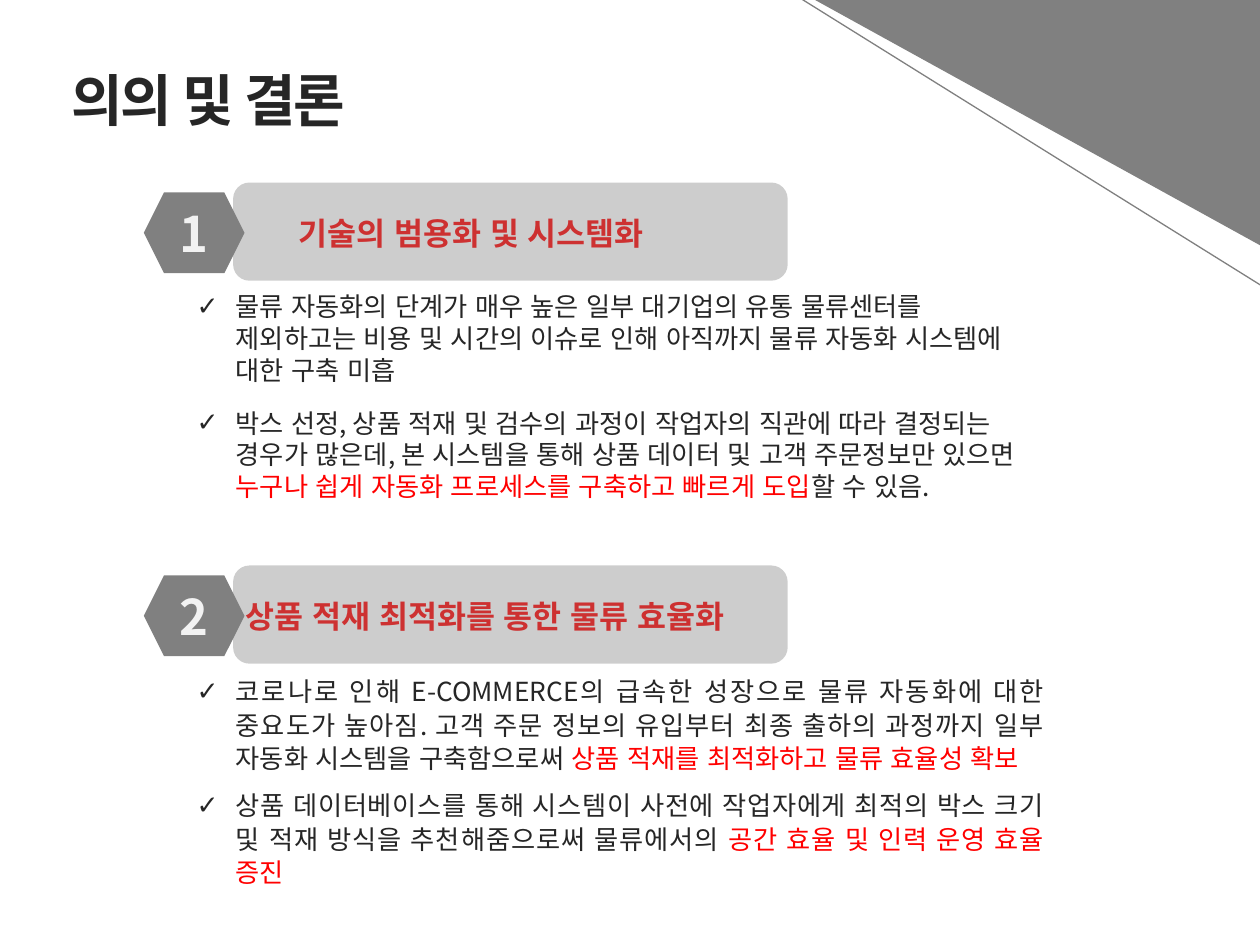
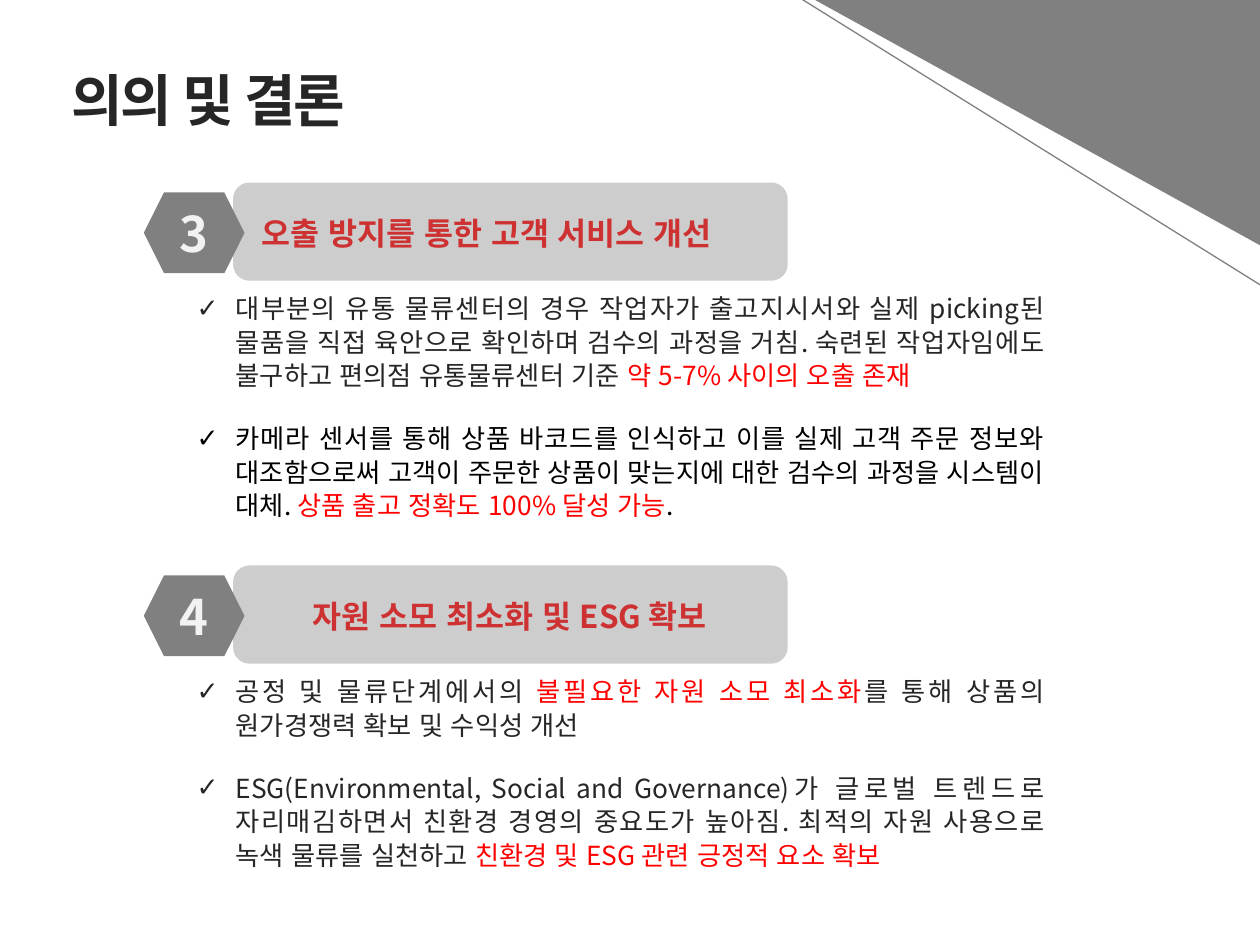
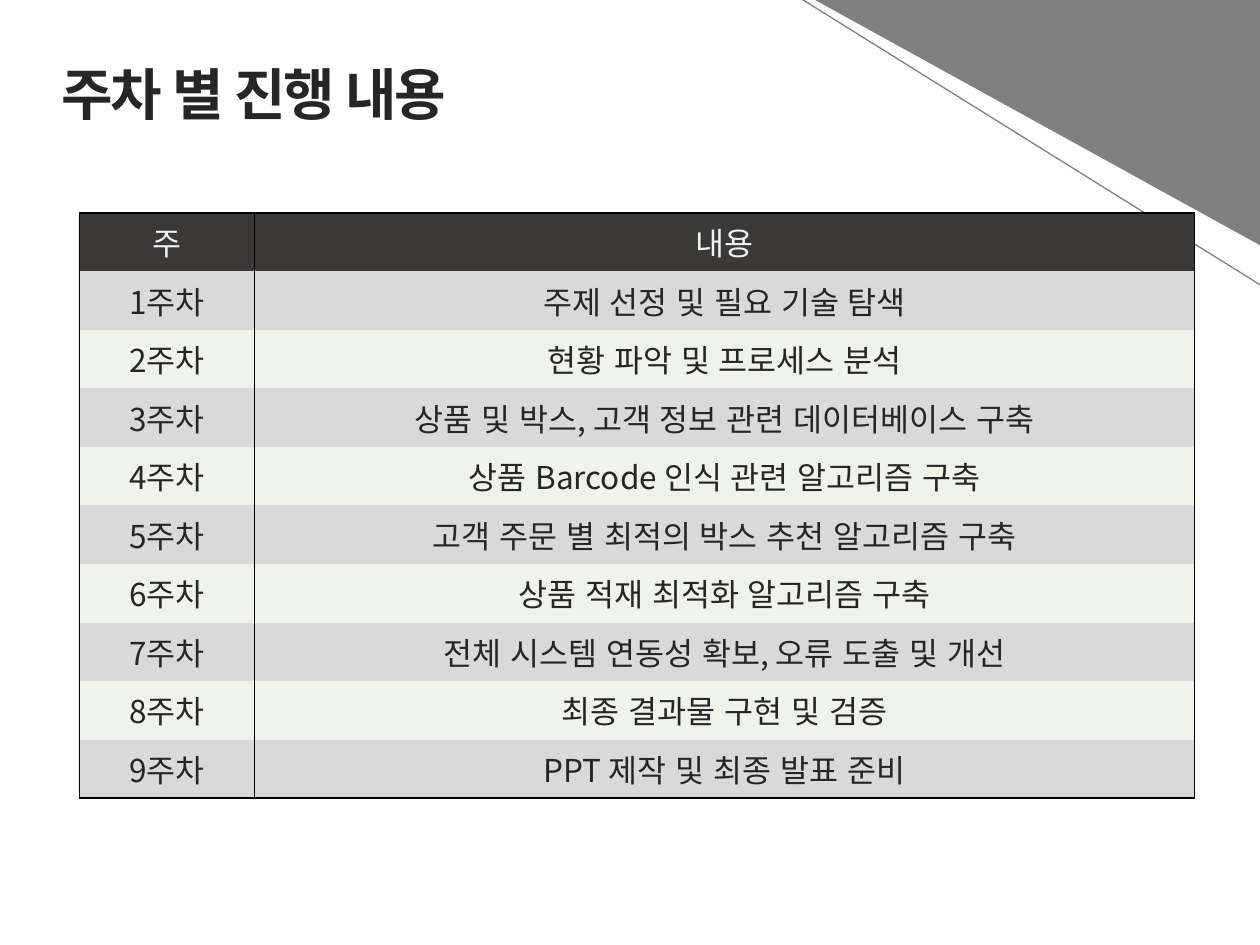
"""Build the conclusion slides and the weekly schedule slide."""
from dataclasses import dataclass

from lxml import etree
from pptx import Presentation
from pptx.dml.color import RGBColor
from pptx.enum.lang import MSO_LANGUAGE_ID
from pptx.enum.shapes import MSO_CONNECTOR, MSO_SHAPE
from pptx.enum.text import MSO_ANCHOR, MSO_AUTO_SIZE, PP_ALIGN
from pptx.oxml.ns import qn
from pptx.util import Cm, Pt

LEFT, CENTER, JUSTIFY = PP_ALIGN.LEFT, PP_ALIGN.CENTER, PP_ALIGN.JUSTIFY
TOP, MIDDLE = MSO_ANCHOR.TOP, MSO_ANCHOR.MIDDLE
GROW = MSO_AUTO_SIZE.SHAPE_TO_FIT_TEXT
STRAIGHT = MSO_CONNECTOR.STRAIGHT
TRIANGLE, HEXAGON = MSO_SHAPE.RIGHT_TRIANGLE, MSO_SHAPE.HEXAGON
ROUNDED = MSO_SHAPE.ROUNDED_RECTANGLE
KOREAN = MSO_LANGUAGE_ID.KOREAN

FONT = "Noto Sans CJK KR"
NO_GRID_STYLE = "{2D5ABB26-0587-4C30-8999-92F81FD0307C}"
COLORS = {
    "ink": "262626",
    "black": "000000",
    "accent": "FF0000",
    "gray": "808080",
    "light": "F2F2F2",
    "header": "3B3838",
    "odd": "D9D9D9",
    "even": "EFF3EA",
}
TITLE_ONLY, TWO_LISTS = 5, 3
FIRST_TOP, SECTION_STEP = 3.68, 7.72


@dataclass(frozen=True)
class Span:
    """A piece of text in one colour."""

    text: str
    color: str = "ink"


@dataclass(frozen=True)
class Section:
    """A numbered heading with its checked list."""

    number: int
    heading: str
    heading_left: float
    heading_width: float
    list_height: float
    gap: float
    items: tuple[tuple[Span, ...], ...]
    heading_align: PP_ALIGN = LEFT
    list_align: PP_ALIGN = JUSTIFY
    line_pitch: float = 19.1


CONCLUSIONS = (
    (
        Section(1, "기술의 범용화 및 시스템화", 5.77, 8.41, 5.18, 12, (
            (Span("물류 자동화의 단계가 매우 높은 일부 대기업의 유통 물류센터를 제외하고는 "
                  "비용 및 시간의 이슈로 인해 아직까지 물류 자동화 시스템에 대한 구축 미흡"),),
            (Span("박스 선정, 상품 적재 및 검수의 과정이 작업자의 직관에 따라 결정되는 경우가 "
                  "많은데, 본 시스템을 통해 상품 데이터 및 고객 주문정보만 있으면 "),
             Span("누구나 쉽게 자동화 프로세스를 구축하고 빠르게 도입", "accent"),
             Span("할 수 있음.")),
        ), list_align=LEFT, line_pitch=18.1),
        Section(2, "상품 적재 최적화를 통한 물류 효율화", 4.7, 11.61, 5.28, 8, (
            (Span("코로나로 인해 E-COMMERCE의 급속한 성장으로 물류 자동화에 대한 중요도가 "
                  "높아짐. 고객 주문 정보의 유입부터 최종 출하의 과정까지 일부 자동화 "
                  "시스템을 구축함으로써 "),
             Span("상품 적재를 최적화하고 물류 효율성 확보", "accent")),
            (Span("상품 데이터베이스를 통해 시스템이 사전에 작업자에게 최적의 박스 크기 및 "
                  "적재 방식을 추천해줌으로써 물류에서의 "),
             Span("공간 효율 및 인력 운영 효율 증진", "accent")),
        )),
    ),
    (
        Section(3, "오출 방지를 통한 고객 서비스 개선", 5.03, 10.59, 5.16, 17, (
            (Span("대부분의 유통 물류센터의 경우 작업자가 출고지시서와 실제 picking된 물품을 "
                  "직접 육안으로 확인하며 검수의 과정을 거침. 숙련된 작업자임에도 불구하고 "
                  "편의점 유통물류센터 기준 "),
             Span("약 5-7% 사이의 오출 존재", "accent")),
            (Span("카메라 센서를 통해 상품 바코드를 인식하고 이를 실제 고객 주문 정보와 "
                  "대조함으로써 고객이 주문한 상품이 맞는지에 대한 검수의 과정을 시스템이 "
                  "대체. ", "black"),
             Span("상품 출고 정확도 100% 달성 가능", "accent"),
             Span(".", "black")),
        )),
        Section(4, "자원 소모 최소화 및 ESG 확보", 5.18, 10.19, 4.27, 17, (
            (Span("공정 및 물류단계에서의 "),
             Span("불필요한 자원 소모 최소화", "accent"),
             Span("를 통해 상품의 원가경쟁력 확보 및 수익성 개선")),
            (Span("ESG(Environmental, Social and Governance)가 글로벌 트렌드로 "
                  "자리매김하면서 친환경 경영의 중요도가 높아짐. 최적의 자원 사용으로 "
                  "녹색 물류를 실천하고 "),
             Span("친환경 및 ESG 관련 긍정적 요소 확보", "accent")),
        ), heading_align=CENTER),
    ),
)
WEEKLY_WORK = (
    "주제 선정 및 필요 기술 탐색",
    "현황 파악 및 프로세스 분석",
    "상품 및 박스, 고객 정보 관련 데이터베이스 구축",
    "상품 Barcode 인식 관련 알고리즘 구축",
    "고객 주문 별 최적의 박스 추천 알고리즘 구축",
    "상품 적재 최적화 알고리즘 구축",
    "전체 시스템 연동성 확보, 오류 도출 및 개선",
    "최종 결과물 구현 및 검증",
    "PPT 제작 및 최종 발표 준비",
)


def rgb(name: str) -> RGBColor:
    """Return the named colour."""
    return RGBColor.from_string(COLORS[name])


def format_run(run, size: float, color: str, bold: bool = False) -> None:
    """Give a run its font, size and colour."""
    font = run.font
    font.name, font.size, font.bold = FONT, Pt(size), bold
    font.color.rgb = rgb(color)
    font.language_id = KOREAN
    etree.SubElement(font._element, qn("a:ea")).set("typeface", FONT)


def write_line(shape, text: str, size: float, color: str, pitch: float,
               align: PP_ALIGN = LEFT, anchor: MSO_ANCHOR = TOP) -> None:
    """Write one bold line into a shape."""
    frame = shape.text_frame
    frame.text = text
    frame.word_wrap = True
    frame.vertical_anchor = anchor
    para = frame.paragraphs[0]
    para.alignment, para.line_spacing = align, Pt(pitch)
    format_run(para.runs[0], size, color, True)


def place(shape, left: float, top: float, width: float, height: float) -> None:
    """Move and size a shape in centimetres."""
    shape.left, shape.top = Cm(left), Cm(top)
    shape.width, shape.height = Cm(width), Cm(height)


def add_solid(page, kind: MSO_SHAPE, left: float, top: float, width: float, height: float):
    """Add a gray shape without outline or shadow."""
    shape = page.shapes.add_shape(kind, Cm(left), Cm(top), Cm(width), Cm(height))
    shape.shadow.inherit = False
    shape.fill.solid()
    shape.fill.fore_color.rgb = rgb("gray")
    shape.line.fill.background()
    return shape


def add_solid_fill(parent, color: str, opacity: int = 100) -> None:
    """Append a solid fill to an XML element."""
    fill = etree.SubElement(parent, qn("a:solidFill"))
    tint = etree.SubElement(fill, qn("a:srgbClr"), val=COLORS[color])
    if opacity < 100:
        etree.SubElement(tint, qn("a:alpha"), val=str(opacity * 1000))


def add_corner(page) -> None:
    """Draw the triangle and the slanted line at the top right."""
    corner = add_solid(page, TRIANGLE, 16.43, 0, 9.07, 5)
    transform = corner.element.spPr.find(qn("a:xfrm"))
    transform.set("flipH", "1")
    transform.set("flipV", "1")
    slant = page.shapes.add_connector(STRAIGHT, Cm(15.42), Cm(-0.48), Cm(26.01), Cm(6.12))
    slant.line.color.rgb = rgb("gray")
    slant.line.width = Pt(0.75)
    etree.SubElement(slant.element.spPr, qn("a:effectLst"))


def start_page(deck, layout: int, title: str, left: float, top: float):
    """Add a slide with the shared corner and title style."""
    page = deck.slides.add_slide(deck.slide_layouts[layout])
    add_corner(page)
    box = page.shapes.title
    place(box, left, top, 16.99, 1.63)
    write_line(box, title, 32, "ink", 42)
    box.text_frame.auto_size = GROW
    properties = box.text_frame.paragraphs[0].runs[0].font._element
    properties.set("spc", "-150")
    outline = etree.Element(qn("a:ln"), w=str(Pt(0.75)))
    add_solid_fill(outline, "black", 20)
    properties.insert(0, outline)
    return page


def fill_list(box, section: Section) -> None:
    """Write the checked list of a section."""
    frame = box.text_frame
    frame.word_wrap = True
    frame.auto_size = GROW
    for index, item in enumerate(section.items):
        para = frame.paragraphs[0] if index == 0 else frame.add_paragraph()
        para.alignment = section.list_align
        para.line_spacing = Pt(section.line_pitch)
        para.space_before, para.space_after = Pt(0), Pt(section.gap)
        properties = para._p.get_or_add_pPr()
        properties.set("marL", str(Cm(0.79)))
        properties.set("indent", str(-Cm(0.79)))
        etree.SubElement(properties, qn("a:buChar"), char="✓")
        for span in item:
            run = para.add_run()
            run.text = span.text
            format_run(run, 15, span.color)


def add_section(page, section: Section, box, top: float) -> None:
    """Draw a numbered heading and its list."""
    place(box, 3.71, top + 2.05, 17.6, section.list_height)
    fill_list(box, section)
    heading = page.shapes.add_textbox(
        Cm(section.heading_left), Cm(top + 0.47), Cm(section.heading_width), Cm(1.02))
    write_line(heading, section.heading, 18, "accent", 23, section.heading_align)
    heading.text_frame.auto_size = GROW
    panel = add_solid(page, ROUNDED, 4.7, top, 11.18, 1.98)
    tint = panel.element.spPr.find(qn("a:solidFill")).find(qn("a:srgbClr"))
    etree.SubElement(tint, qn("a:alpha"), val="39000")
    badge = add_solid(page, HEXAGON, 2.9, top + 0.2, 2.03, 1.63)
    write_line(badge, str(section.number), 28, "light", 34, CENTER, MIDDLE)


def add_conclusion(deck, sections: tuple[Section, ...]) -> None:
    """Add a slide with two numbered sections."""
    page = start_page(deck, TWO_LISTS, "의의 및 결론", 1.19, 1.07)
    for index, section in enumerate(sections):
        box = page.placeholders[index + 1]
        add_section(page, section, box, FIRST_TOP + index * SECTION_STEP)


def format_cell(cell, text: str, fill: str, color: str, sides: str) -> None:
    """Write a centred cell with its fill and black borders."""
    cell.text = text
    para = cell.text_frame.paragraphs[0]
    para.alignment = CENTER
    format_run(para.runs[0], 18, color)
    properties = cell._tc.get_or_add_tcPr()
    for side in sides:
        border = etree.SubElement(properties, qn(f"a:ln{side}"), w=str(Pt(1)))
        add_solid_fill(border, "black")
    add_solid_fill(properties, fill)


def add_schedule(deck) -> None:
    """Add the slide with the weekly table."""
    page = start_page(deck, TITLE_ONLY, "주차 별 진행 내용", 0.99, 0.94)
    rows = [("주", "내용")]
    rows += [(f"{week}주차", work) for week, work in enumerate(WEEKLY_WORK, 1)]
    holder = page.shapes.add_table(
        len(rows), 2, Cm(1.6), Cm(4.29), Cm(22.48), Cm(1.18 * len(rows)))
    for style in holder.element.iter(qn("a:tableStyleId")):
        style.text = NO_GRID_STYLE
    table = holder.table
    for column, width in zip(table.columns, (3.53, 18.95)):
        column.width = Cm(width)
    for index, texts in enumerate(rows):
        table.rows[index].height = Cm(1.18)
        fill = "header" if index == 0 else "odd" if index % 2 else "even"
        color = "light" if index == 0 else "ink"
        edge = "T" if index == 0 else "B" if index == len(rows) - 1 else ""
        for position, text in enumerate(texts):
            format_cell(table.cell(index, position), text, fill, color, "LR" + edge)


def main() -> None:
    """Build and save the deck."""
    deck = Presentation()
    deck.slide_width, deck.slide_height = Cm(25.4), Cm(19.05)
    for sections in CONCLUSIONS:
        add_conclusion(deck, sections)
    add_schedule(deck)
    deck.save("out.pptx")


if __name__ == "__main__":
    main()
